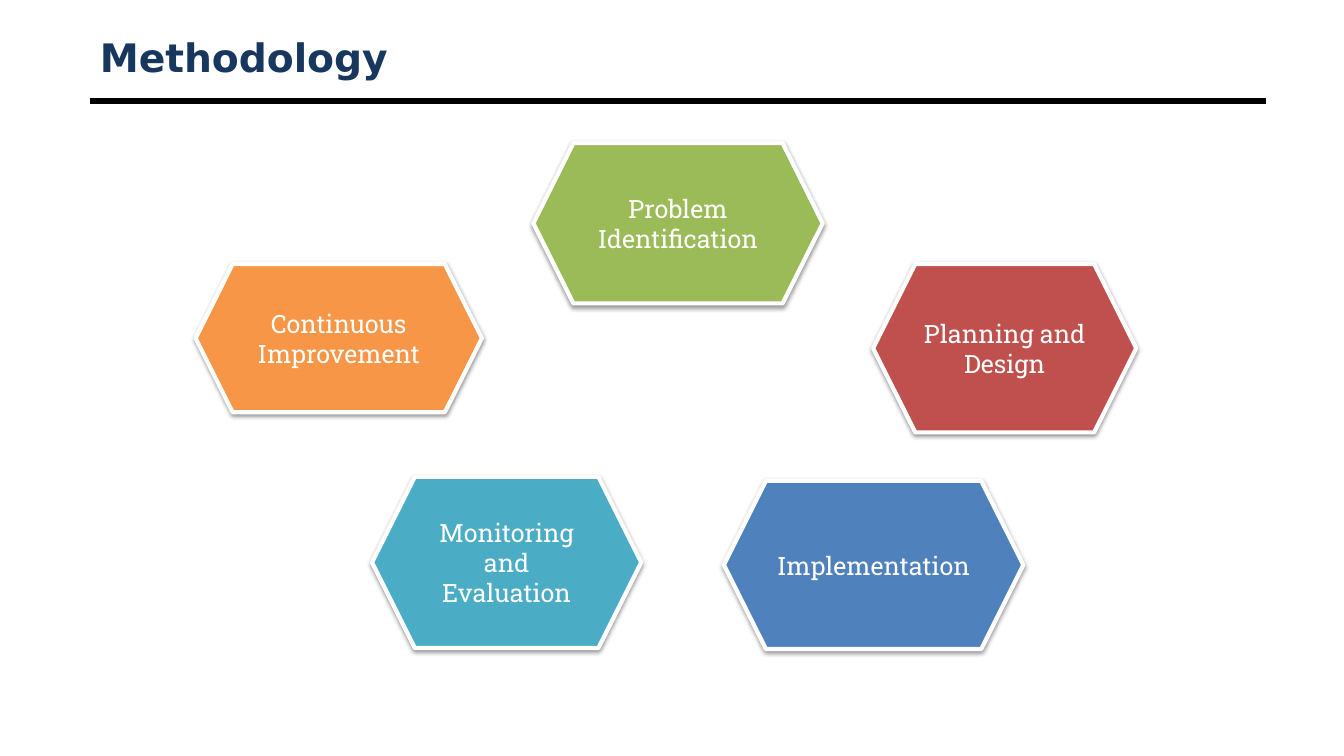
import pptx
import pptx.util
import pptx.dml.color
import pptx.enum.shapes
import pptx.enum.text
import pptx.oxml.ns
from lxml import etree

Inches = pptx.util.Inches
Align = pptx.enum.text.PP_ALIGN
COLORS = {
    "navy": "17375E", "black": "000000", "white": "FFFFFF",
    "blue": "4F81BD", "red": "C0504D", "teal": "4BACC6",
    "orange": "F79646", "green": "9BBB59",
}
# Steps of the cycle: text, colour, left, top, width, height
STEPS = [
    ("Implementation", "blue", 7.18, 4.77, 2.97, 1.67),
    ("Planning and Design", "red", 8.66, 2.62, 2.61, 1.67),
    ("Monitoring and Evaluation", "teal", 3.69, 4.73, 2.67, 1.7),
    ("Continuous Improvement", "orange", 1.94, 2.62, 2.84, 1.47),
    ("Problem Identification", "green", 5.29, 1.42, 2.87, 1.59),
]


def color(name):
    return pptx.dml.color.RGBColor.from_string(COLORS[name])


def add_sub(parent, tag, **attrs):
    return etree.SubElement(parent, pptx.oxml.ns.qn(tag), attrs)


def put_text(shape, text, size=18, font="Roboto Slab", tint="white",
             bold=False, align=Align.CENTER):
    frame = shape.text_frame
    frame.word_wrap = True
    frame.auto_size = pptx.enum.text.MSO_AUTO_SIZE.NONE
    frame.vertical_anchor = pptx.enum.text.MSO_ANCHOR.MIDDLE
    para = frame.paragraphs[0]
    para.alignment = align
    run = para.add_run()
    run.text = text
    run.font.size = pptx.util.Pt(size)
    run.font.name = font
    run.font.bold = bold
    run.font.color.rgb = color(tint)


def add_title(slide, text):
    title = slide.shapes.title
    title.left, title.top = Inches(0.89), Inches(0.3)
    title.width, title.height = Inches(11.67), Inches(0.53)
    put_text(title, text, size=28, font="DejaVu Sans", tint="navy",
             bold=True, align=Align.LEFT)


def add_rule(slide):
    rule = slide.shapes.add_connector(
        pptx.enum.shapes.MSO_CONNECTOR.STRAIGHT,
        Inches(0.89), Inches(1), Inches(12.56), Inches(1))
    rule.line.color.rgb = color("black")
    rule.line.width = pptx.util.Pt(4.5)
    add_sub(rule._element.spPr, "a:effectLst")


def add_shadow(shape):
    shape.shadow.inherit = False
    effects = shape._element.spPr.find(pptx.oxml.ns.qn("a:effectLst"))
    outer = add_sub(effects, "a:outerShdw",
                    blurRad=str(pptx.util.Pt(3.1)),
                    dist=str(pptx.util.Pt(1.6)),
                    dir="5400000", rotWithShape="0")
    tint = add_sub(outer, "a:srgbClr", val=COLORS["black"])
    add_sub(tint, "a:alpha", val="38000")


def add_step(slide, text, tint, *box):
    step = slide.shapes.add_shape(
        pptx.enum.shapes.MSO_SHAPE.HEXAGON, *map(Inches, box))
    step.fill.solid()
    step.fill.fore_color.rgb = color(tint)
    step.line.color.rgb = color("white")
    step.line.width = pptx.util.Pt(3)
    add_shadow(step)
    put_text(step, text)


def main():
    deck = pptx.Presentation()
    deck.slide_width, deck.slide_height = Inches(13.33), Inches(7.5)
    slide = deck.slides.add_slide(deck.slide_layouts[5])

    # Heading
    add_rule(slide)
    add_title(slide, "Methodology")

    # Cycle of steps
    for step in STEPS:
        add_step(slide, *step)

    deck.save("out.pptx")


if __name__ == "__main__":
    main()
